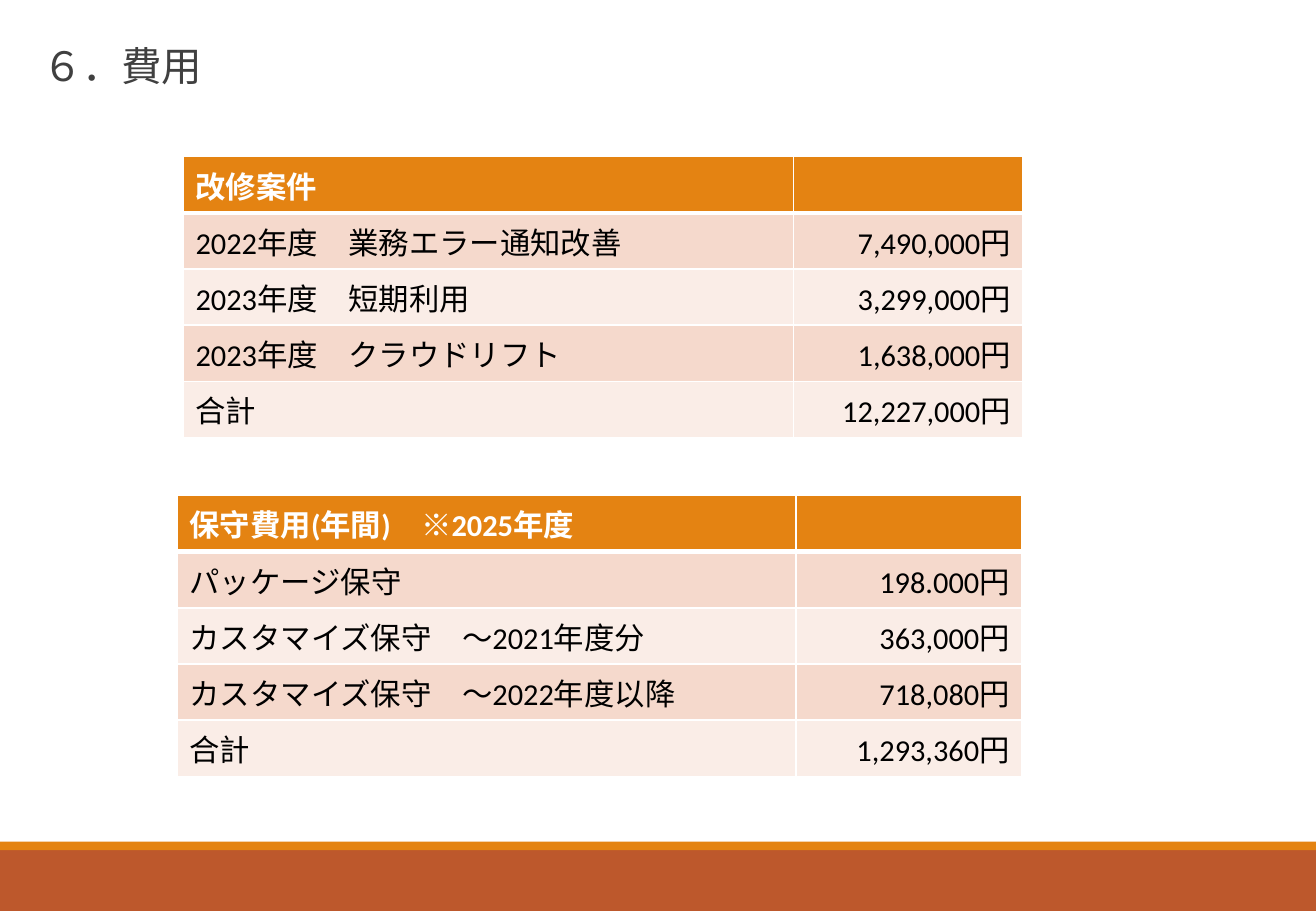
from pptx import Presentation
from pptx.dml.color import RGBColor
from pptx.enum.shapes import MSO_SHAPE
from pptx.enum.text import MSO_ANCHOR, MSO_AUTO_SIZE, PP_ALIGN
from pptx.oxml import parse_xml
from pptx.oxml.ns import nsdecls
from pptx.util import Inches, Pt

ORANGE = RGBColor(0xE4, 0x83, 0x12)
RUST = RGBColor(0xBD, 0x58, 0x2C)
DARK_BAND = RGBColor(0xF5, 0xD9, 0xCC)
LIGHT_BAND = RGBColor(0xFA, 0xED, 0xE7)
WHITE = RGBColor(0xFF, 0xFF, 0xFF)
BLACK = RGBColor(0, 0, 0)
GREY = RGBColor(0x40, 0x40, 0x40)
FONT = "Calibri"
PAGE_WIDTH = 10.83
ROW_HEIGHT = 0.41

REPAIR_COSTS = [
    ("改修案件", ""),
    ("2022年度　業務エラー通知改善", "7,490,000円"),
    ("2023年度　短期利用", "3,299,000円"),
    ("2023年度　クラウドリフト", "1,638,000円"),
    ("合計", "12,227,000円"),
]
MAINTENANCE_COSTS = [
    ("保守費用(年間)　※2025年度", ""),
    ("パッケージ保守", "198.000円"),
    ("カスタマイズ保守　～2021年度分", "363,000円"),
    ("カスタマイズ保守　～2022年度以降", "718,080円"),
    ("合計", "1,293,360円"),
]


def add_span(para, text, size, color, bold=False):
    span = para.add_run()
    span.text = text
    span.font.name = FONT
    span.font.size = Pt(size)
    span.font.bold = bold
    span.font.color.rgb = color
    return span


def add_footer_band(page, top, height, color):
    band = page.shapes.add_shape(MSO_SHAPE.RECTANGLE, 0, Inches(top),
                                 Inches(PAGE_WIDTH), Inches(height))
    band.shadow.inherit = False
    band.fill.solid()
    band.fill.fore_color.rgb = color
    band.line.fill.background()


def set_title(page, text):
    title = page.shapes.title
    title.left, title.top = Inches(0.25), Inches(0.26)
    title.width, title.height = Inches(2.82), Inches(0.53)
    frame = title.text_frame
    frame.auto_size = MSO_AUTO_SIZE.NONE
    frame.vertical_anchor = MSO_ANCHOR.BOTTOM
    para = frame.paragraphs[0]
    para.alignment = PP_ALIGN.LEFT
    para.line_spacing = 0.85
    span = add_span(para, text, 24, GREY)
    span._r.get_or_add_rPr().set("spc", "-50")


def set_borders(cell, top, bottom):
    """Draw white borders; top and bottom are widths in points."""
    properties = cell._tc.get_or_add_tcPr()
    for side, width in (("L", 1), ("R", 1), ("T", top), ("B", bottom)):
        properties.append(parse_xml(
            f'<a:ln{side} {nsdecls("a")} w="{Pt(width)}"><a:solidFill>'
            f'<a:srgbClr val="{WHITE}"/></a:solidFill></a:ln{side}>'))


def add_cost_table(page, left, top, widths, costs):
    frame = page.shapes.add_table(
        len(costs), len(widths), Inches(left), Inches(top),
        Inches(sum(widths)), Inches(ROW_HEIGHT * len(costs)))
    table = frame.table
    for column, width in zip(table.columns, widths):
        column.width = Inches(width)
    for row, texts in enumerate(costs):
        table.rows[row].height = Inches(ROW_HEIGHT)
        is_header = row == 0
        band = DARK_BAND if row % 2 else LIGHT_BAND
        for col, text in enumerate(texts):
            cell = table.cell(row, col)
            set_borders(cell, top=3 if row == 1 else 1,
                        bottom=3 if is_header else 1)
            cell.fill.solid()
            cell.fill.fore_color.rgb = ORANGE if is_header else band
            para = cell.text_frame.paragraphs[0]
            para.alignment = PP_ALIGN.RIGHT if col else PP_ALIGN.LEFT
            if text:
                add_span(para, text, 18, WHITE if is_header else BLACK,
                         bold=is_header)


def main():
    deck = Presentation()
    deck.slide_width, deck.slide_height = Inches(PAGE_WIDTH), Inches(7.5)
    page = deck.slides.add_slide(deck.slide_layouts[5])
    add_footer_band(page, 7, 0.5, RUST)
    add_footer_band(page, 6.93, 0.07, ORANGE)
    set_title(page, "６．費用")
    add_cost_table(page, 1.51, 1.29, (5.02, 1.89), REPAIR_COSTS)
    add_cost_table(page, 1.46, 4.08, (5.09, 1.86), MAINTENANCE_COSTS)
    deck.save("out.pptx")


if __name__ == "__main__":
    main()
